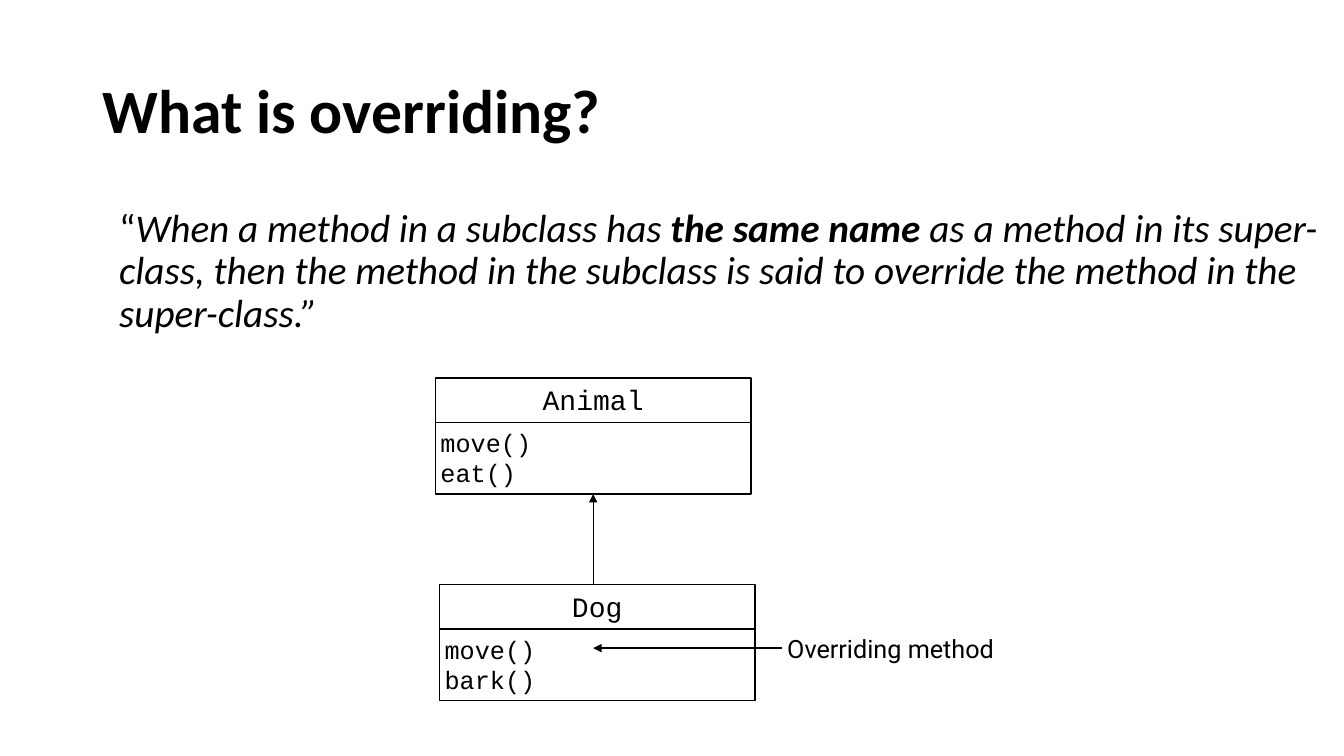
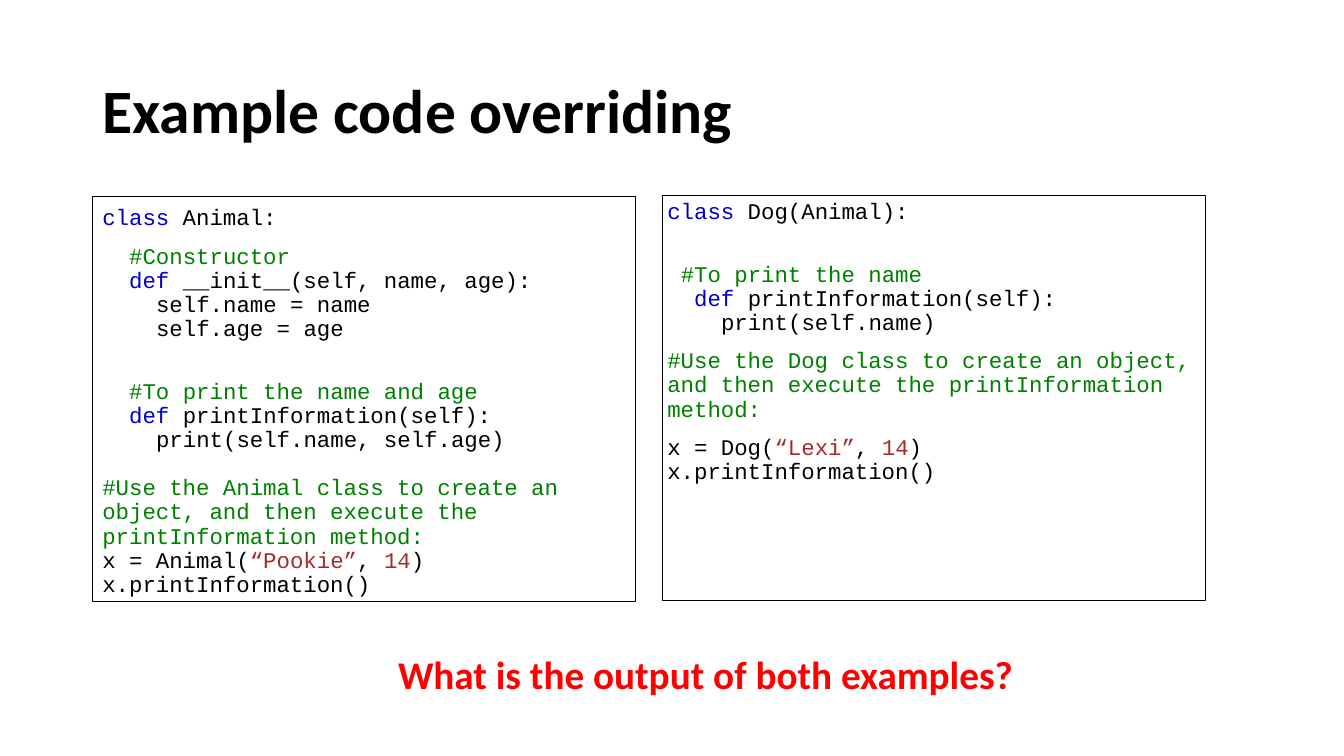
from lxml.etree import SubElement
from pptx import Presentation
from pptx.dml.color import RGBColor
from pptx.enum.shapes import MSO_CONNECTOR, MSO_SHAPE
from pptx.enum.text import MSO_ANCHOR, MSO_AUTO_SIZE, PP_ALIGN
from pptx.oxml.ns import qn
from pptx.util import Inches, Pt

WIDE, HIGH = Inches(13.33), Inches(7.5)
COLS, ROWS = 160, 90
HEX = {"ink": "000000", "key": "0000CD", "note": "008000",
       "value": "A52A2A", "ask": "FF0000"}

TITLE = {"name": "Calibri", "size": Pt(44), "bold": True}
QUOTE = {"name": "Calibri", "size": Pt(28)}
ITALIC = {**QUOTE, "italic": True}
HEAD = {"name": "Courier New", "size": Pt(20)}
BODY = {"name": "Courier New", "size": Pt(18)}
CODE = {"name": "Courier New", "size": Pt(16)}
LABEL = {"name": "Roboto", "size": Pt(18)}
ASK = {**QUOTE, "bold": True}

CHAR = Pt(9.6)       # width of one code letter
GAP = 10             # points before a block
BLANK = 17.3         # points of one empty code line
PROSE = {"line_spacing": 0.9, "space_before": Pt(GAP)}
MID = {"alignment": PP_ALIGN.CENTER}

# Each code line: points before it, letters of indent, runs of (text, colour)
ANIMAL = [
    (GAP, 0, [("class", "key"), (" Animal:", "ink")]),
    (GAP, 2, [("#Constructor", "note")]),
    (0, 2, [("def", "key"), (" __init__(self, name, age):", "ink")]),
    (0, 4, [("self.name = name", "ink")]),
    (0, 4, [("self.age = age", "ink")]),
    (GAP + BLANK, 2, [("#To print the name and age", "note")]),
    (0, 2, [("def ", "key"), ("printInformation(self):", "ink")]),
    (0, 4, [("print(self.name, self.age)", "ink")]),
    (BLANK, 0, [("#Use the Animal class to create an object, and then "
                 "execute the printInformation method:", "note")]),
    (0, 0, [("x = Animal(", "ink"), ("“Pookie”", "value"), (", ", "ink"),
            ("14", "value"), (")", "ink")]),
    (0, 0, [("x.printInformation()", "ink")]),
]
DOG = [
    (GAP, 0, [("class", "key"), (" Dog(Animal):", "ink")]),
    (GAP + BLANK, 1, [("#To print the name", "note")]),
    (0, 2, [("def ", "key"), ("printInformation(self):", "ink")]),
    (0, 4, [("print(self.name)", "ink")]),
    (GAP, 0, [("#Use the Dog class to create an object, and then "
               "execute the printInformation method:", "note")]),
    (GAP, 0, [("x = Dog(", "ink"), ("“Lexi”", "value"), (",", "ink"),
              (" 14", "value"), (")", "ink")]),
    (0, 0, [("x.printInformation()", "ink")]),
]


def grid(*spans):
    """Turn alternating columns and rows into slide lengths."""
    units = (WIDE / COLS, HIGH / ROWS)
    return [round(span * units[i % 2]) for i, span in enumerate(spans)]


def apply(target, style):
    for name, value in style.items():
        setattr(target, name, value)


def write(par, text, font, hue="ink"):
    run = par.add_run()
    run.text = text
    apply(run.font, font)
    run.font.color.rgb = RGBColor.from_string(HEX[hue])


def pars(frame):
    """Yield the frame's first paragraph, then new ones."""
    yield frame.paragraphs[0]
    while True:
        yield frame.add_paragraph()


def fit(frame, pad=None):
    apply(frame, {"word_wrap": True, "vertical_anchor": MSO_ANCHOR.TOP})
    if pad is not None:
        sides = ("left", "top", "right", "bottom")
        apply(frame, {f"margin_{side}": Inches(pad) for side in sides})


def page(deck, text):
    slide = deck.slides.add_slide(deck.slide_layouts[5])
    title = slide.shapes.title
    title.left, title.top, title.width, title.height = grid(11, 4.8, 138, 17.4)
    apply(title.text_frame, {"vertical_anchor": MSO_ANCHOR.MIDDLE,
                             "auto_size": MSO_AUTO_SIZE.NONE})
    par = title.text_frame.paragraphs[0]
    apply(par, {"alignment": PP_ALIGN.LEFT, "line_spacing": 0.9})
    write(par, text, TITLE)
    return slide


def note(slide, spot, runs, style, pad=None):
    """Add a one-paragraph text box with runs of (text, font, colour)."""
    box = slide.shapes.add_textbox(*grid(*spot))
    fit(box.text_frame, pad)
    par = box.text_frame.paragraphs[0]
    apply(par, style)
    for run in runs:
        write(par, *run)
    return box


def frame(slide, spot, width=1, pad=0.05):
    """Add an unfilled rectangle with a black outline."""
    box = slide.shapes.add_shape(MSO_SHAPE.RECTANGLE, *grid(*spot))
    box.shadow.inherit = False
    box.fill.background()
    box.line.color.rgb = RGBColor.from_string(HEX["ink"])
    box.line.width = Pt(width)
    fit(box.text_frame, pad)
    return box


def uml(slide, col, row, name, calls):
    """Draw a class box and return its lower part."""
    wide, head, body = 37.56, 5.28, 8.52
    top = frame(slide, (col, row, wide, head))
    par = top.text_frame.paragraphs[0]
    apply(par, MID)
    write(par, name, HEAD)
    low = frame(slide, (col, row + head, wide, body))
    for par, call in zip(pars(low.text_frame), calls):
        par.alignment = PP_ALIGN.LEFT
        write(par, call, BODY)
    return low


def arrow(slide, start, end):
    line = slide.shapes.add_connector(MSO_CONNECTOR.STRAIGHT,
                                      *grid(*start, *end))
    line.line.color.rgb = RGBColor.from_string(HEX["ink"])
    line.line.width = Pt(1)
    SubElement(line.line._get_or_add_ln(), qn("a:tailEnd"), type="triangle")
    SubElement(line._element.spPr, qn("a:effectLst"))
    return line


def code(slide, spot, lines, width, pad):
    box = frame(slide, spot, width, pad)
    for (gap, chars, runs), par in zip(lines, pars(box.text_frame)):
        apply(par, {"alignment": PP_ALIGN.LEFT, "line_spacing": 0.9,
                    "space_before": Pt(gap)})
        par._p.get_or_add_pPr().set("marL", str(chars * CHAR))
        for text, hue in runs:
            write(par, text, CODE, hue)


def define(deck):
    slide = page(deck, "What is overriding?")
    note(slide, (13, 24.24, 147, 64), [
        ("“", QUOTE),
        ("When a method in a subclass has", ITALIC),
        (" the same name", {**ITALIC, "bold": True}),
        (" as a method in its super-class, then the method in the subclass "
         "is said to override the method in the super-class.”", ITALIC),
    ], PROSE)
    base = uml(slide, 51.84, 45, "Animal", ["move()", "eat()"])
    uml(slide, 52.32, 69.6, "Dog", ["move()", "bark()"])
    mid = 70.62
    arrow(slide, (mid, 69.6), (mid, 58.8)).end_connect(base, 2)
    label = note(slide, (93.12, 74.76, 28.08, 4.8),
                 [("Overriding method", LABEL)], {}, 0.05)
    arrow(slide, (93.12, 77.16), (mid, 77.16)).begin_connect(label, 1)


def example(deck):
    slide = page(deck, "Example code overriding")
    code(slide, (11, 23.4, 64.7, 48.24), ANIMAL, 0.75, 0.1)
    code(slide, (78.84, 23.28, 64.7, 48.24), DOG, 1, 0.05)
    note(slide, (11, 77.4, 147, 10.92),
         [("What is the output of both examples? ", ASK, "ask")],
         {**PROSE, **MID})


def main():
    deck = Presentation()
    deck.slide_width, deck.slide_height = WIDE, HIGH
    define(deck)
    example(deck)
    deck.save("out.pptx")


if __name__ == "__main__":
    main()
